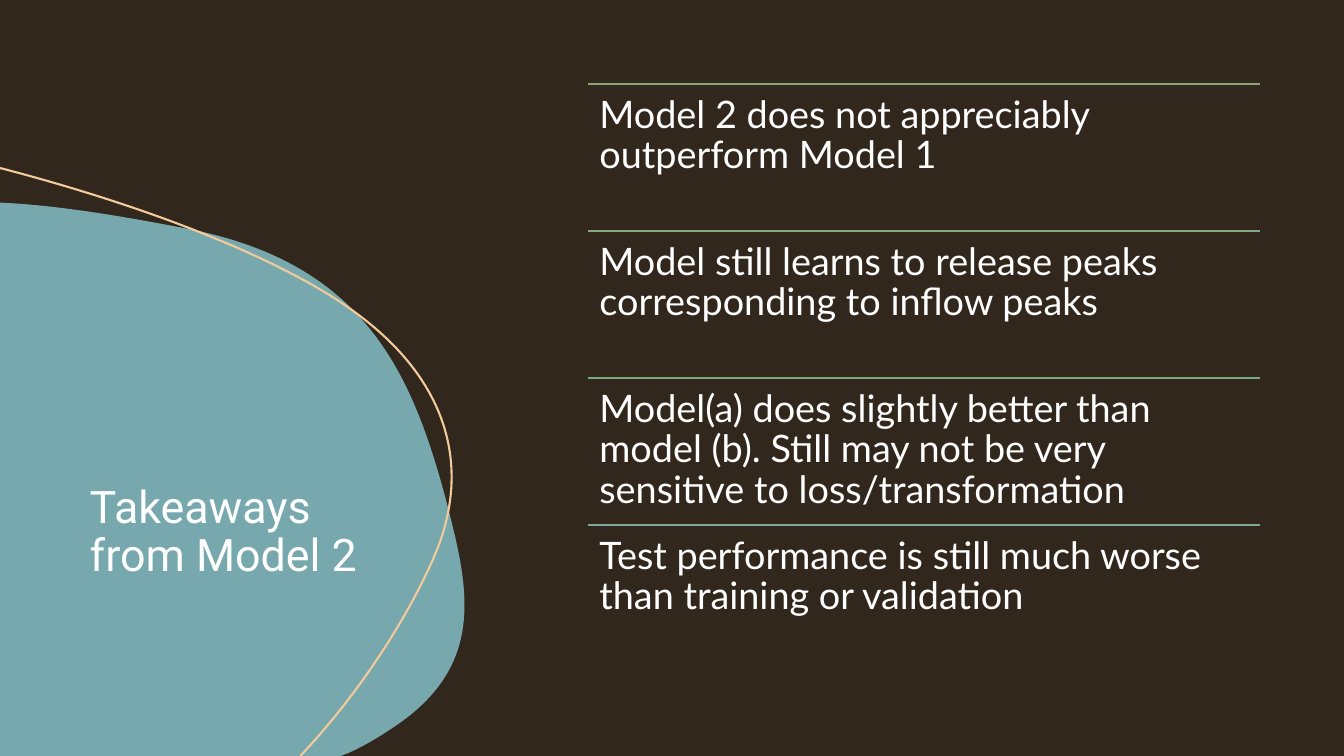
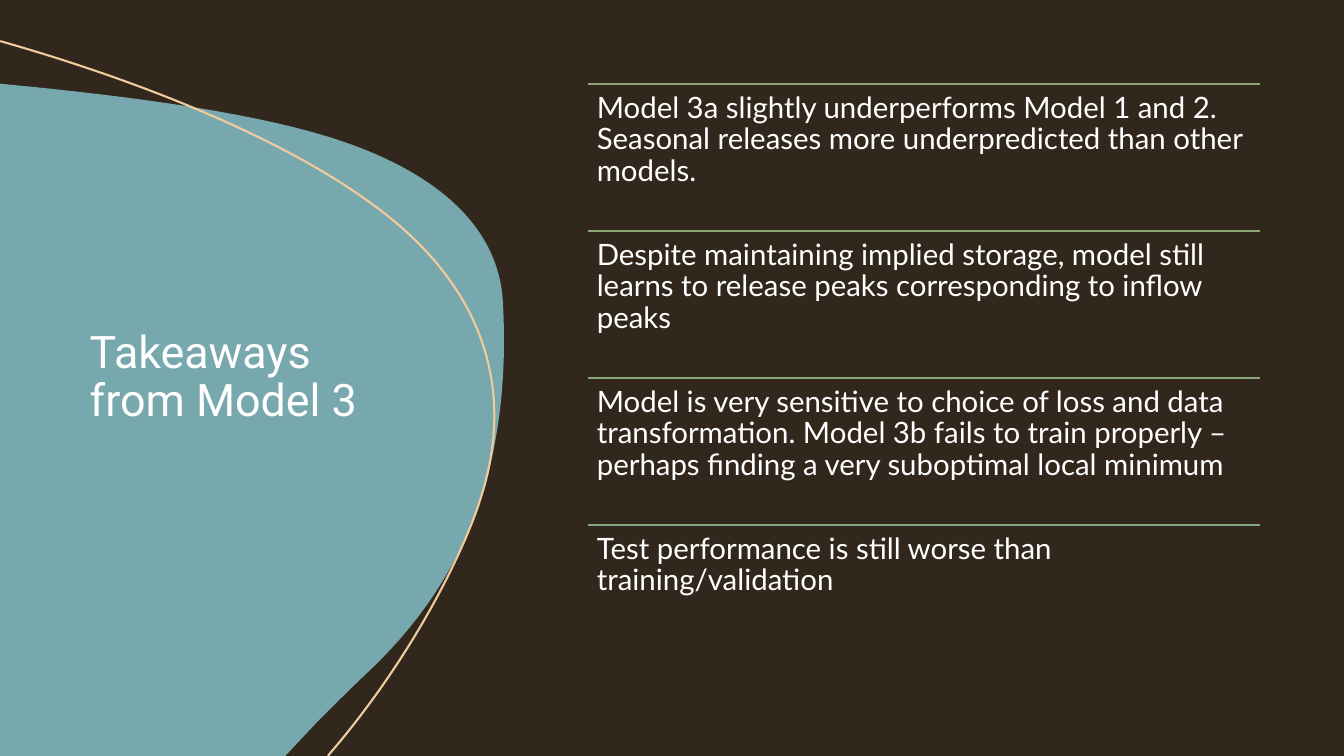
from lxml import etree
from pptx import Presentation
from pptx.dml.color import RGBColor
from pptx.enum.shapes import MSO_CONNECTOR, MSO_SHAPE
from pptx.enum.text import MSO_ANCHOR
from pptx.oxml.ns import qn
from pptx.util import Pt

STRAIGHT = MSO_CONNECTOR.STRAIGHT
RECTANGLE = MSO_SHAPE.RECTANGLE
TOP = MSO_ANCHOR.TOP
MIDDLE = MSO_ANCHOR.MIDDLE
BOTTOM = MSO_ANCHOR.BOTTOM

BROWN = RGBColor(0x32, 0x27, 0x1C)
TEAL = RGBColor(0x76, 0xA8, 0xAD)
SAND = RGBColor(0xF1, 0xCB, 0x9C)
WHITE = RGBColor(0xFF, 0xFF, 0xFF)
OLIVE = RGBColor(0x8F, 0xA6, 0x72)
MOSS = RGBColor(0x8B, 0xA7, 0x76)
FERN = RGBColor(0x87, 0xA7, 0x7B)
SAGE = RGBColor(0x85, 0xA8, 0x7F)
GREEN = RGBColor(0x76, 0xAC, 0x84)
SEA = RGBColor(0x7F, 0xA7, 0x9A)

TITLE_FONT = "Roboto"
BODY_FONT = "Lato"
SLIDE_WIDTH, SLIDE_HEIGHT = 960, 540
LIST_LEFT, LIST_TOP, LIST_WIDTH, ROW_HEIGHT = 420, 60, 480, 105

LOW_BLOB = (332, [
    (0, 144.7), (12.2, 145.4),
    (51.8, 148.3, 92.9, 155.5, 133.9, 163.4),
    (260.6, 187.9, 294.5, 266.4, 319, 358.6),
    (334.8, 419.8, 348.5, 475.9, 279.4, 520.6),
    (270, 527, 259.9, 532.8, 249.1, 537.8),
    (243.4, 540), (0, 540), (0, 144.7),
])
LOW_ARC = (322.6, [
    (0, 120.2), (0.7, 120.2),
    (100.1, 146.2, 185.8, 179.3, 239, 213.1),
    (319, 264.2, 335.5, 328.3, 313.9, 388.1),
    (303.8, 415.4, 271.4, 479.5, 214.6, 540),
    (214.6, 540),
])
HIGH_BLOB = (360, [
    (360, 249.8),
    (358.6, 326.2, 339.8, 406.1, 265.7, 477.4),
    (252, 490.3, 238.3, 504, 225.4, 517),
    (203.8, 540), (0, 540), (0, 59.8), (21.6, 61.9),
    (107.3, 70.6, 188.6, 82.1, 244.1, 100.8),
    (330.5, 130.3, 357.8, 175.7, 359.3, 217.4),
    (360, 228.2, 360, 239, 360, 249.8),
])
HIGH_ARC = (353.5, [
    (0, 29.5), (0.7, 29.5),
    (109.4, 60.5, 203, 100.8, 261.4, 142.6),
    (349.9, 204.5, 367.2, 282.2, 343.4, 355.7),
    (333.4, 388.8, 297.4, 466.6, 234.7, 539.3),
    (234.7, 540),
])

MODEL_2_ROWS = [
    ("Model 2 does not appreciably outperform Model 1", OLIVE),
    ("Model still learns to release peaks corresponding to inflow peaks", SAGE),
    ("Model(a) does slightly better than model (b). Still may not be very "
     "sensitive to loss/transformation", GREEN),
    ("Test performance is still much worse than training or validation", SEA),
]
MODEL_3_ROWS = [
    ("Model 3a slightly underperforms Model 1 and 2. Seasonal releases more "
     "underpredicted than other models.", OLIVE),
    ("Despite maintaining implied storage, model still learns to release peaks "
     "corresponding to inflow peaks", MOSS),
    ("Model is very sensitive to choice of loss and data transformation. "
     "Model 3b fails to train properly – perhaps finding a very suboptimal "
     "local minimum", FERN),
    ("Test performance is still worse than training/validation", SAGE),
]


def add_path_step(path, tag, numbers, top):
    step = etree.SubElement(path, qn(tag))
    for x, y in zip(numbers[::2], numbers[1::2]):
        etree.SubElement(step, qn("a:pt"), x=str(Pt(x)), y=str(Pt(y - top)))


def add_outline(slide, outline, close):
    width, segments = outline
    top = min(segment[-1] for segment in segments)
    builder = slide.shapes.build_freeform(0, Pt(top))
    builder.add_line_segments([(Pt(width), Pt(SLIDE_HEIGHT))], close=False)
    shape = builder.convert_to_shape()
    shape.shadow.inherit = False
    path = shape._element.spPr.find(".//" + qn("a:path"))
    for step in list(path):
        path.remove(step)
    add_path_step(path, "a:moveTo", segments[0], top)
    for segment in segments[1:]:
        tag = "a:lnTo" if len(segment) == 2 else "a:cubicBezTo"
        add_path_step(path, tag, segment, top)
    if close:
        etree.SubElement(path, qn("a:close"))
    return shape


def paint(shape, color):
    shape.fill.solid()
    shape.fill.fore_color.rgb = color
    shape.line.fill.background()


def add_backdrop(slide):
    shape = slide.shapes.add_shape(RECTANGLE, 0, 0, Pt(SLIDE_WIDTH), Pt(SLIDE_HEIGHT))
    shape.shadow.inherit = False
    paint(shape, BROWN)


def add_blob(slide, outline):
    paint(add_outline(slide, outline, True), TEAL)


def add_arc(slide, outline):
    shape = add_outline(slide, outline, False)
    shape.fill.background()
    shape.line.color.rgb = SAND
    shape.line.width = Pt(1.5)


def add_text(parent, box, text, font_name, size, anchor, insets):
    shape = parent.shapes.add_textbox(*map(Pt, box))
    frame = shape.text_frame
    frame.word_wrap = True
    frame.vertical_anchor = anchor
    frame.margin_left = frame.margin_right = Pt(insets[0])
    frame.margin_top = frame.margin_bottom = Pt(insets[1])
    paragraph = frame.paragraphs[0]
    paragraph.line_spacing = 0.9
    run = paragraph.add_run()
    run.text = text
    run.font.name = font_name
    run.font.size = Pt(size)
    run.font.color.rgb = WHITE


def add_rule(parent, top, color):
    line = parent.shapes.add_connector(
        STRAIGHT, Pt(LIST_LEFT), Pt(top), Pt(LIST_LEFT + LIST_WIDTH), Pt(top))
    line.line.color.rgb = color
    line.line.width = Pt(1)
    etree.SubElement(line._element.spPr, qn("a:effectLst"))


def add_ruled_list(slide, rows, size):
    group = slide.shapes.add_group_shape()
    inset = 0.3 * size
    for index, (text, color) in enumerate(rows):
        top = LIST_TOP + index * ROW_HEIGHT
        add_rule(group, top, color)
        add_text(group, (LIST_LEFT, top, LIST_WIDTH, ROW_HEIGHT), text,
                 BODY_FONT, size, TOP, (inset, inset))


def add_takeaways(presentation, title, title_top, anchor, blob, arc, rows, size):
    slide = presentation.slides.add_slide(presentation.slide_layouts[6])
    slide.background.fill.solid()
    slide.background.fill.fore_color.rgb = BROWN
    add_backdrop(slide)
    add_blob(slide, blob)
    add_arc(slide, arc)
    add_text(slide, (57, title_top, 240, 180), title, TITLE_FONT, 32, anchor, (7.2, 3.6))
    add_ruled_list(slide, rows, size)


def main():
    presentation = Presentation()
    presentation.slide_width = Pt(SLIDE_WIDTH)
    presentation.slide_height = Pt(SLIDE_HEIGHT)
    add_takeaways(presentation, "Takeaways from Model 2", 239, BOTTOM,
                  LOW_BLOB, LOW_ARC, MODEL_2_ROWS, 27)
    add_takeaways(presentation, "Takeaways from Model 3", 180, MIDDLE,
                  HIGH_BLOB, HIGH_ARC, MODEL_3_ROWS, 21)
    presentation.save("out.pptx")


if __name__ == "__main__":
    main()
